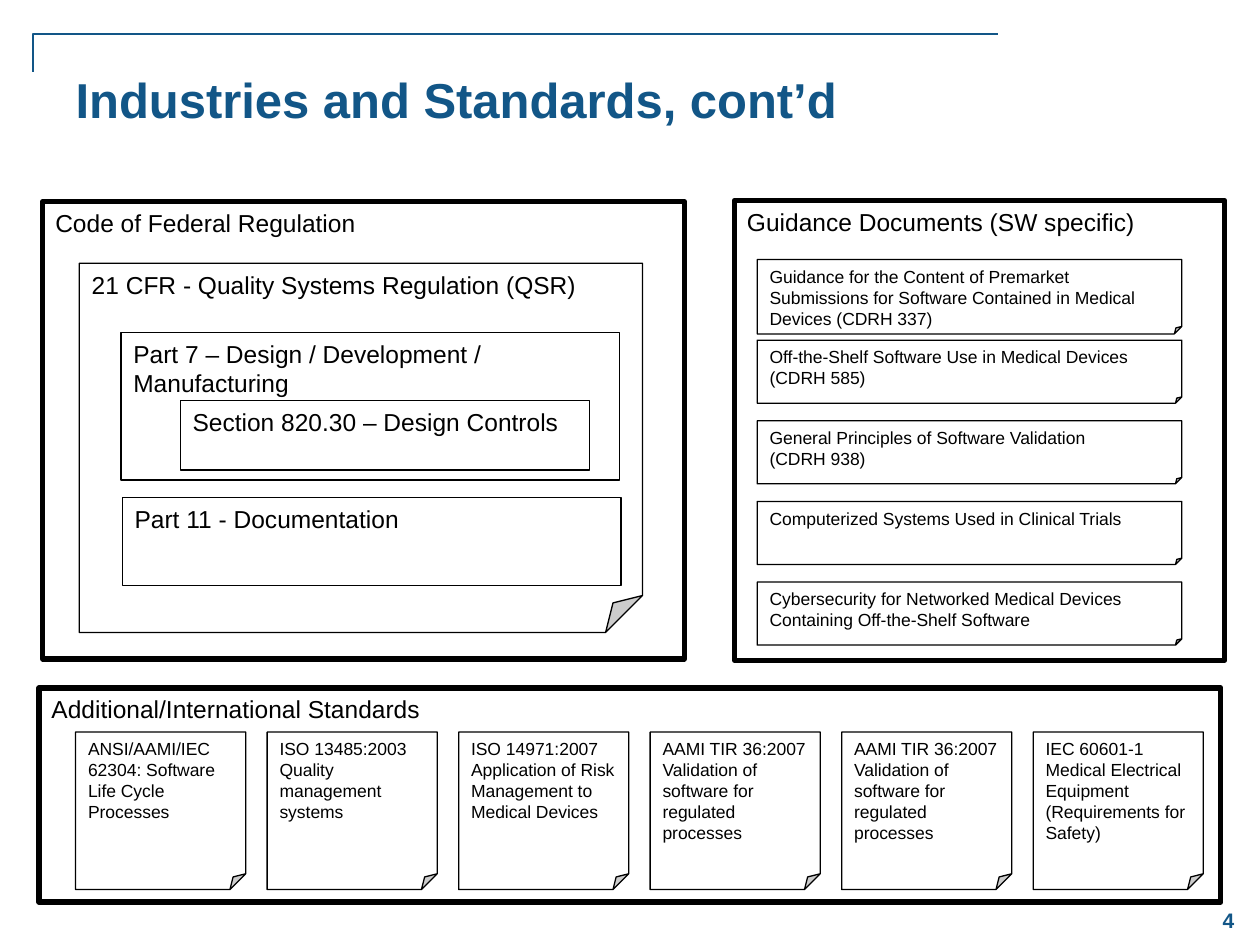
from dataclasses import dataclass

from lxml import etree
from pptx import Presentation
from pptx.dml.color import RGBColor
from pptx.enum import shapes, text
from pptx.oxml.ns import qn
from pptx.util import Inches, Pt


@dataclass(frozen=True)
class Theme:
    font: str = "Arial"
    accent: RGBColor = RGBColor(0x12, 0x56, 0x87)
    ink: RGBColor = RGBColor(0, 0, 0)
    paper: RGBColor = RGBColor(255, 255, 255)
    title: int = 28
    heading: int = 14
    number: int = 12
    note: int = 10
    frame_line: float = 3
    thin_line: float = 0.75
    rule_line: float = 1
    fold: float = 0.1


@dataclass(frozen=True)
class Panel:
    words: str
    left: float
    top: float
    width: float
    height: float
    size: int
    folded: bool = False
    frame: bool = False


THEME = Theme()

GUIDANCE = [
    "Guidance for the Content of Premarket Submissions for Software "
    "Contained in Medical Devices (CDRH 337)",
    "Off-the-Shelf Software Use in Medical Devices\n(CDRH 585)",
    "General Principles of Software Validation\n(CDRH 938)",
    "Computerized Systems Used in Clinical Trials",
    "Cybersecurity for Networked Medical Devices Containing Off-the-Shelf Software",
]
STANDARDS = [
    "ANSI/AAMI/IEC 62304: Software Life Cycle Processes",
    "ISO 13485:2003\nQuality management systems",
    "ISO 14971:2007 Application of Risk Management to Medical Devices",
    "AAMI TIR 36:2007\nValidation of software for regulated processes",
    "AAMI TIR 36:2007 Validation of software for regulated processes",
    "IEC 60601-1\nMedical Electrical Equipment (Requirements for Safety)",
]
GUIDANCE_PITCH = 0.64
STANDARD_PITCH = 1.52

PANELS = [
    Panel("Code of Federal Regulation", 0.34, 1.6, 5.09, 3.63, THEME.heading, frame=True),
    Panel("21 CFR - Quality Systems Regulation (QSR)", 0.63, 2.09, 4.47, 2.93,
          THEME.heading, folded=True),
    Panel("Part 7 – Design / Development / Manufacturing", 0.96, 2.64, 3.96, 1.17,
          THEME.heading),
    Panel("Section 820.30 – Design Controls", 1.43, 3.18, 3.25, 0.55, THEME.heading),
    Panel("Part 11 - Documentation", 0.97, 3.95, 3.96, 0.7, THEME.heading),
    Panel("Guidance Documents (SW specific)", 5.83, 1.59, 3.89, 3.65,
          THEME.heading, frame=True),
    *[Panel(words, 6.01, 2.06 + row * GUIDANCE_PITCH, 3.37, 0.5 if row else 0.59,
            THEME.note, folded=True)
      for row, words in enumerate(GUIDANCE)],
    Panel("Additional/International Standards", 0.31, 5.46, 9.38, 1.7,
          THEME.heading, frame=True),
    *[Panel(words, 0.6 + column * STANDARD_PITCH, 5.81, 1.35, 1.25,
            THEME.note, folded=True)
      for column, words in enumerate(STANDARDS)],
]


def write(shape, words: str, size: int, color: RGBColor, bold: bool = False,
          align=text.PP_ALIGN.LEFT, anchor=text.MSO_ANCHOR.TOP) -> None:
    """Fill a shape with text, one paragraph per line of words."""
    box = shape.text_frame
    box.text = words
    frame_format = {"word_wrap": True, "auto_size": text.MSO_AUTO_SIZE.NONE,
                    "vertical_anchor": anchor}
    for name, value in frame_format.items():
        setattr(box, name, value)
    font_format = {"name": THEME.font, "size": Pt(size), "bold": bold}
    for para in box.paragraphs:
        para.alignment = align
        for span in para.runs:
            for name, value in font_format.items():
                setattr(span.font, name, value)
            span.font.color.rgb = color


def set_fold(shape, share: float) -> None:
    """Size the folded corner; python-pptx lists no adjustment for this shape."""
    geometry = shape.element.spPr.find(qn("a:prstGeom"))
    values = geometry.find(qn("a:avLst"))
    if values is None:
        values = etree.SubElement(geometry, qn("a:avLst"))
    etree.SubElement(values, qn("a:gd"), name="adj", fmla=f"val {round(share * 100000)}")


def draw_panel(page, panel: Panel) -> None:
    kind = shapes.MSO_SHAPE.FOLDED_CORNER if panel.folded else shapes.MSO_SHAPE.RECTANGLE
    shape = page.shapes.add_shape(kind, Inches(panel.left), Inches(panel.top),
                                  Inches(panel.width), Inches(panel.height))
    shape.shadow.inherit = False
    if panel.folded:
        set_fold(shape, THEME.fold)
    if panel.frame:
        shape.fill.background()
    else:
        shape.fill.solid()
        shape.fill.fore_color.rgb = THEME.paper
    shape.line.color.rgb = THEME.ink
    shape.line.width = Pt(THEME.frame_line if panel.frame else THEME.thin_line)
    write(shape, panel.words, panel.size, THEME.ink)


def draw_corner_rule(page) -> None:
    outline = page.shapes.build_freeform(Inches(7.92), Inches(0.27))
    outline.add_line_segments([(Inches(0.26), Inches(0.27)), (Inches(0.26), Inches(0.57))],
                              close=False)
    rule = outline.convert_to_shape()
    rule.shadow.inherit = False
    rule.fill.background()
    rule.line.color.rgb = THEME.accent
    rule.line.width = Pt(THEME.rule_line)


def draw_title(page, words: str) -> None:
    title = page.shapes.title
    place = {"left": 0.5, "top": 0.5, "width": 8.83, "height": 1.08}
    for name, value in place.items():
        setattr(title, name, Inches(value))
    write(title, words, THEME.title, THEME.accent, bold=True)


def draw_page_number(page, number: str) -> None:
    box = page.shapes.add_textbox(Inches(9.5), Inches(7.09), Inches(0.5), Inches(0.42))
    write(box, number, THEME.number, THEME.accent, bold=True,
          align=text.PP_ALIGN.CENTER, anchor=text.MSO_ANCHOR.MIDDLE)


def main() -> None:
    deck = Presentation()
    deck.slide_width, deck.slide_height = Inches(10), Inches(7.5)
    page = deck.slides.add_slide(deck.slide_layouts.get_by_name("Title Only"))
    draw_corner_rule(page)
    draw_page_number(page, "4")
    draw_title(page, "Industries and Standards, cont’d")
    for panel in PANELS:
        draw_panel(page, panel)
    deck.save("out.pptx")


if __name__ == "__main__":
    main()
